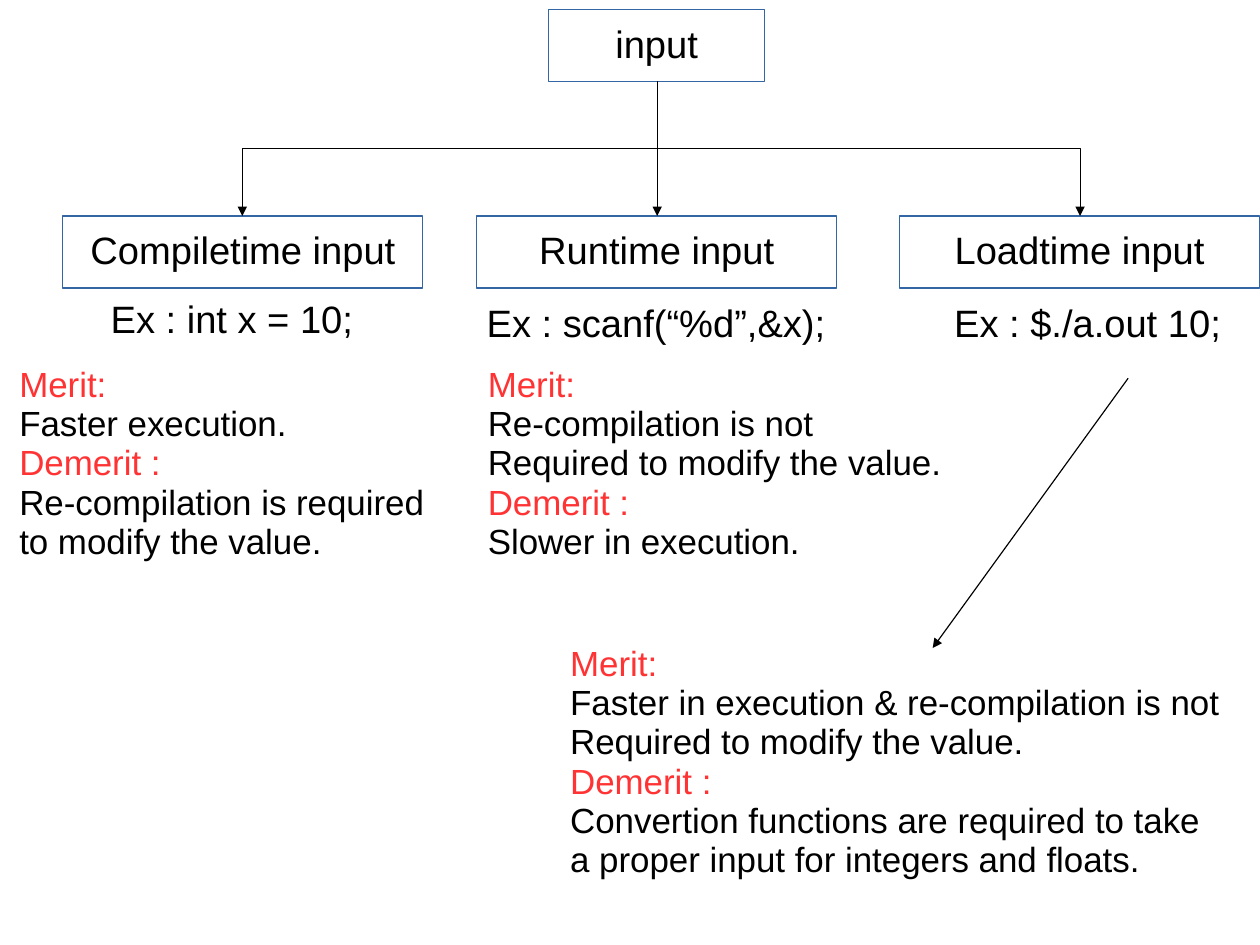
"""Build a slide comparing compile-time, run-time and load-time program input."""
from dataclasses import dataclass

from pptx import Presentation
from pptx.dml.color import RGBColor
from pptx.enum.shapes import MSO_CONNECTOR, MSO_SHAPE
from pptx.enum.text import MSO_ANCHOR, MSO_AUTO_SIZE, PP_ALIGN
from pptx.oxml.ns import qn
from pptx.util import Cm, Inches, Pt

STRAIGHT, ELBOW = MSO_CONNECTOR.STRAIGHT, MSO_CONNECTOR.ELBOW
RECTANGLE = MSO_SHAPE.RECTANGLE
TOP, MIDDLE = MSO_ANCHOR.TOP, MSO_ANCHOR.MIDDLE
LEFT, CENTER = PP_ALIGN.LEFT, PP_ALIGN.CENTER
NO_AUTOFIT = MSO_AUTO_SIZE.NONE


@dataclass(frozen=True)
class Theme:
    font: str = "Arial"
    ink: RGBColor = RGBColor(0, 0, 0)
    paper: RGBColor = RGBColor(0xFF, 0xFF, 0xFF)
    border: RGBColor = RGBColor(0x34, 0x65, 0xA4)
    heading: RGBColor = RGBColor(0xFF, 0x33, 0x33)
    label_size: Pt = Pt(24)
    note_size: Pt = Pt(22)
    line_width: Pt = Pt(0.75)
    line_spacing: float = 0.94


THEME = Theme()


def write(shape, lines, size, align=LEFT, anchor=TOP):
    frame = shape.text_frame
    frame.word_wrap = False
    frame.auto_size = NO_AUTOFIT
    frame.vertical_anchor = anchor
    for index, line in enumerate(lines):
        paragraph = frame.add_paragraph() if index else frame.paragraphs[0]
        paragraph.alignment = align
        paragraph.line_spacing = THEME.line_spacing
        run = paragraph.add_run()
        run.text = line
        run.font.name = THEME.font
        run.font.size = size
        run.font.color.rgb = THEME.heading if line in HEADINGS else THEME.ink


def add_arrow(kind, x1, y1, x2, y2):
    arrow = slide.shapes.add_connector(kind, Inches(x1), Inches(y1), Inches(x2), Inches(y2))
    arrow.line.color.rgb = THEME.ink
    arrow.line.width = THEME.line_width
    outline = arrow._element.spPr
    line = outline.find(qn("a:ln"))
    line.append(line.makeelement(qn("a:tailEnd"), {"type": "triangle"}))
    outline.append(outline.makeelement(qn("a:effectLst"), {}))
    return arrow


HEADINGS = ("Merit:", "Demerit :")
ROOT_X, ROOT_BOTTOM = 5.75, 0.71
KIND_TOP, KIND_WIDTH, BOX_HEIGHT = 1.89, 3.15, 0.63
KINDS = [("Compiletime input", 0.55), ("Runtime input", 4.17), ("Loadtime input", 7.87)]
EXAMPLES = [
    ("Ex : int x = 10;", 0.87, 2.57, 2.32),
    ("Ex : scanf(“%d”,&x);", 4.16, 2.6, 3.17),
    ("Ex : $./a.out 10;", 8.25, 2.6, 2.54),
]
NOTES = [
    (0.07, 3.15, 3.75, 1.84, [
        "Merit:", "Faster execution.",
        "Demerit :", "Re-compilation is required", "to modify the value."]),
    (4.17, 3.15, 4.17, 1.84, [
        "Merit:", "Re-compilation is not", "Required to modify the value.",
        "Demerit :", "Slower in execution."]),
    (4.89, 5.59, 5.98, 2.19, [
        "Merit:", "Faster in execution & re-compilation is not", "Required to modify the value.",
        "Demerit :", "Convertion functions are required to take",
        "a proper input for integers and floats."]),
]

deck = Presentation()
deck.slide_width, deck.slide_height = Cm(28), Cm(21)
slide = deck.slides.add_slide(deck.slide_layouts[5])

root = slide.shapes.title
root.left, root.top = Inches(4.8), Inches(0.08)
root.width, root.height = Inches(1.89), Inches(BOX_HEIGHT)
boxes = [(root, "input")]
for name, x in KINDS:
    kind_box = slide.shapes.add_shape(
        RECTANGLE, Inches(x), Inches(KIND_TOP), Inches(KIND_WIDTH), Inches(BOX_HEIGHT))
    kind_box.shadow.inherit = False
    boxes.append((kind_box, name))

for box, name in boxes:
    box.fill.solid()
    box.fill.fore_color.rgb = THEME.paper
    box.line.color.rgb = THEME.border
    box.line.width = THEME.line_width
    write(box, [name], THEME.label_size, CENTER, MIDDLE)

drop = KIND_TOP - ROOT_BOTTOM
middle_y = (ROOT_BOTTOM + KIND_TOP) / 2
for target_x, side, turn in [(2.12, 1, 90), (9.45, -1, 270)]:
    middle_x = (ROOT_X + target_x) / 2
    half_span = abs(target_x - ROOT_X) / 2
    branch = add_arrow(
        ELBOW, middle_x - side * drop / 2, middle_y - half_span,
        middle_x + side * drop / 2, middle_y + half_span)
    branch._element.spPr.xfrm.set("rot", str(turn * 60000))
add_arrow(STRAIGHT, ROOT_X, 1.26, ROOT_X, KIND_TOP)

for example, x, y, width in EXAMPLES:
    example_box = slide.shapes.add_textbox(Inches(x), Inches(y), Inches(width), Inches(0.5))
    write(example_box, [example], THEME.label_size)

for x, y, width, height, lines in NOTES:
    note = slide.shapes.add_textbox(Inches(x), Inches(y), Inches(width), Inches(height))
    write(note, lines, THEME.note_size)

add_arrow(STRAIGHT, 9.87, 3.31, 8.16, 5.67)

deck.save("out.pptx")
